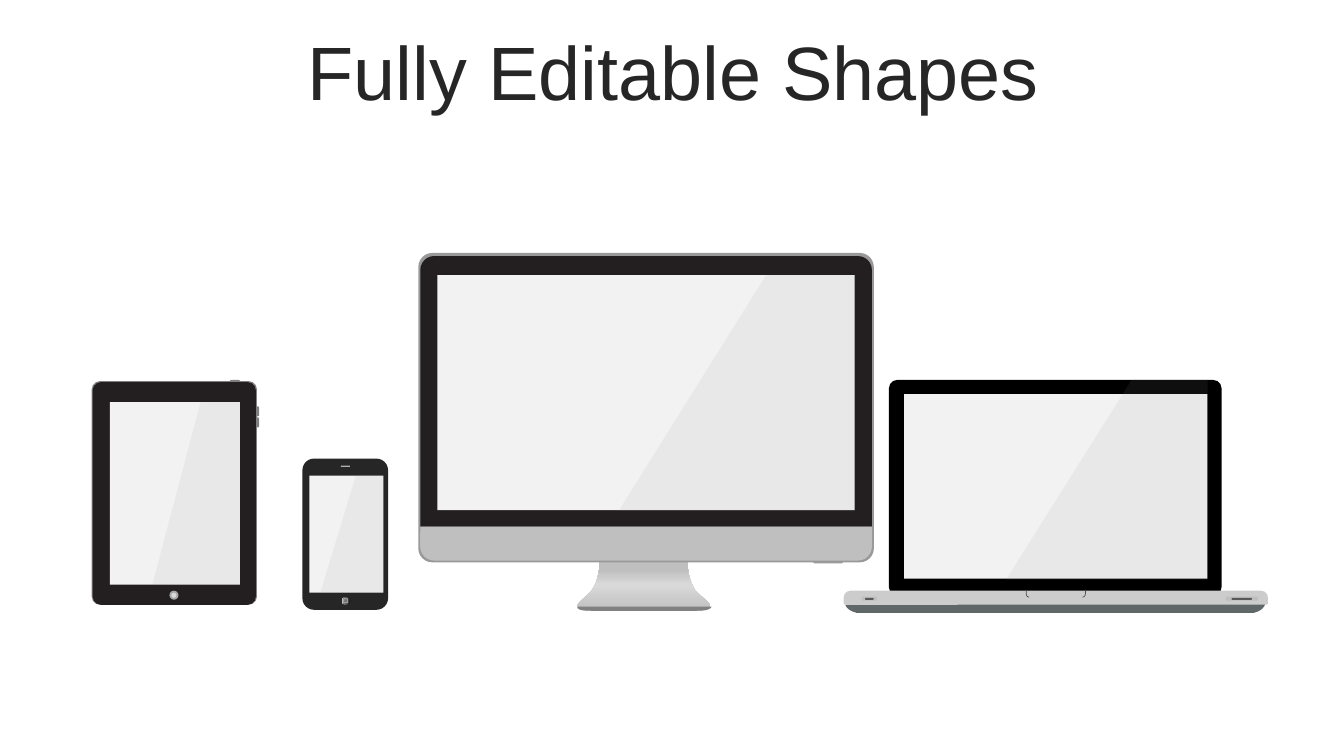
from lxml import etree
from pptx import Presentation
from pptx.dml.color import RGBColor
from pptx.enum.shapes import MSO_SHAPE
from pptx.enum.text import MSO_ANCHOR, PP_ALIGN
from pptx.oxml.ns import qn
from pptx.util import Pt

RECTANGLE = MSO_SHAPE.RECTANGLE
ROUNDED = MSO_SHAPE.ROUNDED_RECTANGLE
ROUNDED_PAIR = MSO_SHAPE.ROUND_2_SAME_RECTANGLE
OVAL = MSO_SHAPE.OVAL

BLACK = RGBColor(0x00, 0x00, 0x00)
BEZEL = RGBColor(0x23, 0x1F, 0x20)
CHARCOAL = RGBColor(0x26, 0x26, 0x26)
SCREEN = RGBColor(0xF2, 0xF2, 0xF2)
GLARE = RGBColor(0x99, 0x99, 0x99)
EDGE = RGBColor(0x80, 0x80, 0x80)
SILVER = RGBColor(0xBF, 0xBF, 0xBF)
DECK = RGBColor(0xCC, 0xCC, 0xCC)
UNDERSIDE = RGBColor(0x5F, 0x67, 0x67)
NOTCH = RGBColor(0x4D, 0x4D, 0x4D)
SLOT = RGBColor(0x59, 0x59, 0x59)
HOME_RING = RGBColor(0xA6, 0xA6, 0xA6)
PALE = RGBColor(0xD9, 0xD9, 0xD9)
SPEAKER = RGBColor(0xB0, 0xB0, 0xB0)
HOME_ICON = RGBColor(0x73, 0x73, 0x73)
NIGHT = RGBColor(0x0F, 0x0F, 0x0F)

STAND_STOPS = [(0, SILVER), (53, PALE), (83, SILVER), (100, SILVER)]
HOME_STOPS = [(0, NIGHT), (56, SLOT), (91, EDGE), (100, SILVER)]


def paint(shape, color):
    shape.shadow.inherit = False
    shape.fill.solid()
    shape.fill.fore_color.rgb = color
    shape.line.fill.background()
    return shape


def paint_gradient(shape, stops, angle):
    """Fill with (percent, color) stops; the angle runs counter-clockwise."""
    shape.fill.gradient()
    shape.fill.gradient_angle = angle
    stop_list = shape.element.spPr.find(".//" + qn("a:gsLst"))
    for stop in list(stop_list):
        stop_list.remove(stop)
    for percent, color in stops:
        stop = etree.SubElement(stop_list, qn("a:gs"), pos=str(percent * 1000))
        etree.SubElement(stop, qn("a:srgbClr"), val=str(color))


def add_block(group, kind, box, color):
    return paint(group.shapes.add_shape(kind, *map(Pt, box)), color)


def add_rounded(group, box, radius, color):
    shape = add_block(group, ROUNDED, box, color)
    shape.adjustments[0] = radius / min(box[2:])
    return shape


def add_half_rounded(group, box, top_radius, bottom_radius, color):
    shape = add_block(group, ROUNDED_PAIR, box, color)
    shape.adjustments[0] = top_radius / min(box[2:])
    shape.adjustments[1] = bottom_radius / min(box[2:])


def curve(start, control_1, control_2, end, steps=12):
    """Points along a cubic Bezier curve."""
    points = []
    for step in range(steps + 1):
        t = step / steps
        weights = ((1 - t) ** 3, 3 * t * (1 - t) ** 2, 3 * t * t * (1 - t), t ** 3)
        points.append(tuple(
            sum(weight * value for weight, value in zip(weights, values))
            for values in zip(start, control_1, control_2, end)))
    return points


def add_outline(group, points, color, close=True):
    first, *others = [(Pt(x), Pt(y)) for x, y in points]
    builder = group.shapes.build_freeform(*first)
    builder.add_line_segments(others, close=close)
    return paint(builder.convert_to_shape(), color)


def add_arc(group, points, color):
    shape = add_outline(group, points, color, close=False)
    shape.fill.background()
    shape.line.color.rgb = color
    shape.line.width = Pt(0.5)


def add_glare(group, top_left, bottom_left, right, top, bottom):
    corners = [(top_left, top), (right, top), (right, bottom), (bottom_left, bottom)]
    shape = add_outline(group, corners, GLARE)
    color = shape.element.spPr.find(".//" + qn("a:srgbClr"))
    etree.SubElement(color, qn("a:alpha"), val="10000")


def add_title(slide, text):
    box = slide.shapes.add_textbox(Pt(25.2), Pt(25.9), Pt(911.5), Pt(56.9))
    frame = box.text_frame
    frame.word_wrap = True
    frame.vertical_anchor = MSO_ANCHOR.MIDDLE
    paragraph = frame.paragraphs[0]
    paragraph.text = text
    paragraph.alignment = PP_ALIGN.CENTER
    paragraph.line_spacing = 0.9
    paragraph.font.name = "Arial"
    paragraph.font.size = Pt(54)
    paragraph.font.color.rgb = CHARCOAL


def add_monitor(group):
    stand = add_outline(
        group,
        curve((428.4, 401), (428.4, 401), (428.4, 416.2), (421.2, 423.4))
        + curve((421.2, 423.4), (414.7, 429.8), (403.9, 436.3), (422.6, 436.3))
        + curve((497.5, 436.3), (515.5, 436.3), (505.4, 429.8), (498.2, 423.4))
        + curve((498.2, 423.4), (491, 416.2), (491, 401), (491, 401)),
        SILVER)
    paint_gradient(stand, STAND_STOPS, 90)
    add_rounded(group, (298.8, 180.7, 325.4, 221), 10, GLARE)
    add_half_rounded(group, (581, 400.3, 21, 2.2), 0, 1, GLARE)
    add_half_rounded(group, (300.2, 182.9, 322.6, 193), 10, 0, BEZEL)
    add_outline(
        group,
        curve((412.6, 433.4), (412.6, 435.6), (415.4, 436.3), (422.6, 436.3))
        + curve((497.5, 436.3), (505.4, 436.3), (507.6, 434.9), (508.3, 433.4)),
        EDGE)
    add_half_rounded(group, (300.2, 376.6, 322.6, 23.8), 0, 10, SILVER)
    add_block(group, RECTANGLE, (312.5, 196.6, 298, 167.8), SCREEN)
    add_glare(group, 547.2, 442.1, 610.9, 196.6, 364.7)


def add_laptop(group):
    add_outline(
        group,
        curve((895, 437.8), (895, 437.8), (901.4, 437), (903.6, 432))
        + curve((903.6, 432), (903.6, 430.6), (902.9, 429.1), (900.7, 429.1))
        + curve((607, 429.8), (605.5, 429.8), (604.1, 431.3), (604.1, 432.7))
        + curve((604.1, 432.7), (606.2, 436.3), (609.8, 437), (612, 437.8)),
        UNDERSIDE)
    add_rounded(group, (635, 271.4, 237.6, 154.1), 6, BLACK)
    add_block(group, RECTANGLE, (645.8, 281.5, 216.7, 131.8), SCREEN)
    add_half_rounded(group, (602.6, 421.9, 303.1, 10.1), 7, 1.4, DECK)
    for outer, inner in ((733, 735.1), (775.4, 773.3)):
        add_arc(group, curve((outer, 421.9), (outer, 425), (outer, 426), (inner, 426.6)), NOTCH)
    for left, width, inset in ((615.6, 10.8, 2.4), (875.5, 23, 4.3)):
        add_rounded(group, (left, 426.2, width, 2.9), 0.8, SILVER)
        add_rounded(group, (left + inset, 427, width - 2 * inset, 1.4), 0.4, SLOT)
    add_glare(group, 808.6, 718.6, 862.6, 271, 414)


def add_tablet(group):
    add_rounded(group, (164.2, 271.4, 7.2, 2.2), 1, EDGE)
    for top in (298.1, 290.2):
        add_rounded(group, (182.9, top, 2.2, 7.2), 1, EDGE)
    add_rounded(group, (65.5, 272.2, 118.1, 159.8), 6, EDGE)
    add_rounded(group, (66.2, 272.9, 116.6, 159.1), 6, BEZEL)
    add_block(group, RECTANGLE, (78.5, 287.3, 92.9, 130.3), SCREEN)
    add_glare(group, 143.3, 108.7, 171.4, 287.3, 418)
    add_block(group, OVAL, (121, 421.9, 6.5, 6.5), HOME_RING)
    add_block(group, OVAL, (122.4, 423.4, 3.6, 3.6), PALE)


def add_phone(group):
    add_rounded(group, (216, 327.6, 61.2, 108), 8.3, CHARCOAL)
    add_block(group, RECTANGLE, (243.4, 332.6, 6.5, 0.9), SPEAKER)
    home = add_block(group, OVAL, (244.1, 426.2, 6.5, 5.8), EDGE)
    paint_gradient(home, HOME_STOPS, 180)
    icon = add_rounded(group, (245.5, 427.7, 2.9, 2.9), 0.5, HOME_ICON)
    icon.line.color.rgb = SPEAKER
    icon.line.width = Pt(0.5)
    add_block(group, RECTANGLE, (221, 339.8, 52.9, 83.5), SCREEN)
    add_glare(group, 254.2, 229, 274, 339.8, 422.8)


def main():
    presentation = Presentation()
    presentation.slide_width = Pt(960)
    presentation.slide_height = Pt(540)
    slide = presentation.slides.add_slide(presentation.slide_layouts[6])
    add_title(slide, "Fully Editable Shapes")
    for add_device in (add_monitor, add_laptop, add_tablet, add_phone):
        add_device(slide.shapes.add_group_shape())
    presentation.save("out.pptx")


if __name__ == "__main__":
    main()
